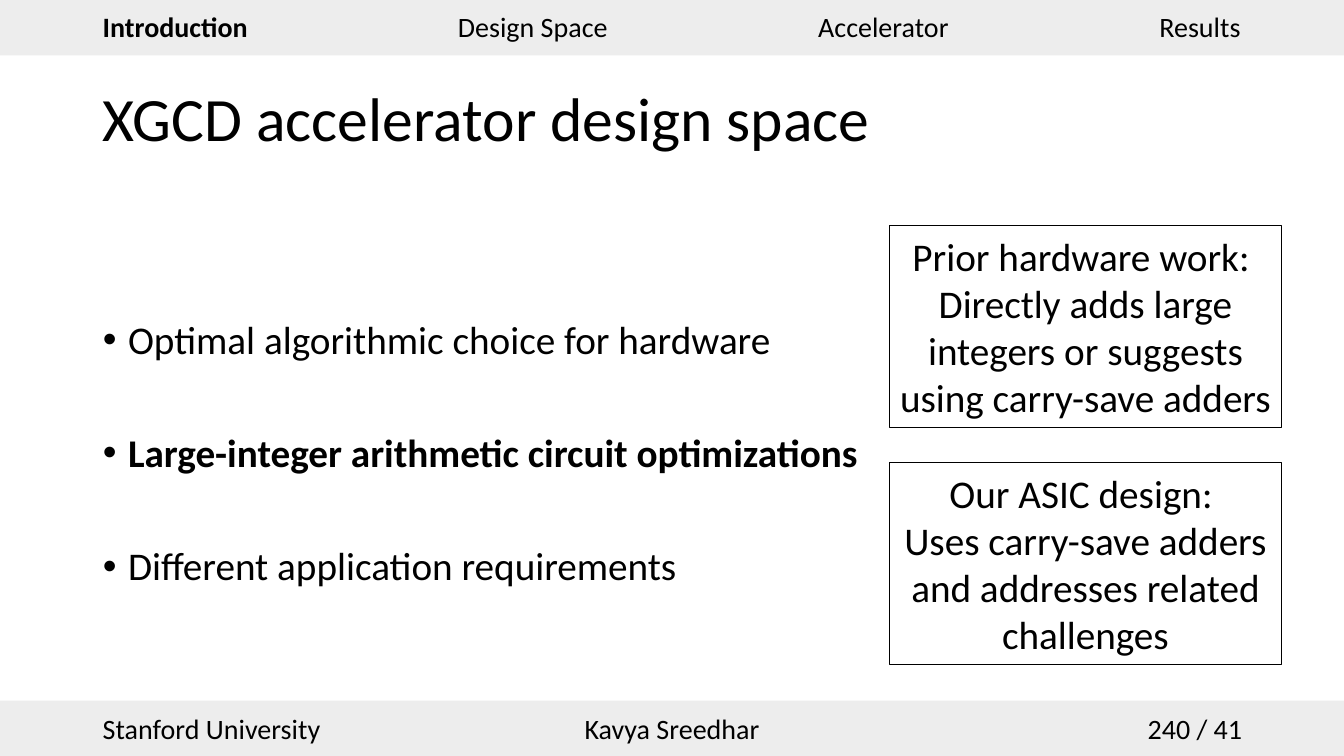
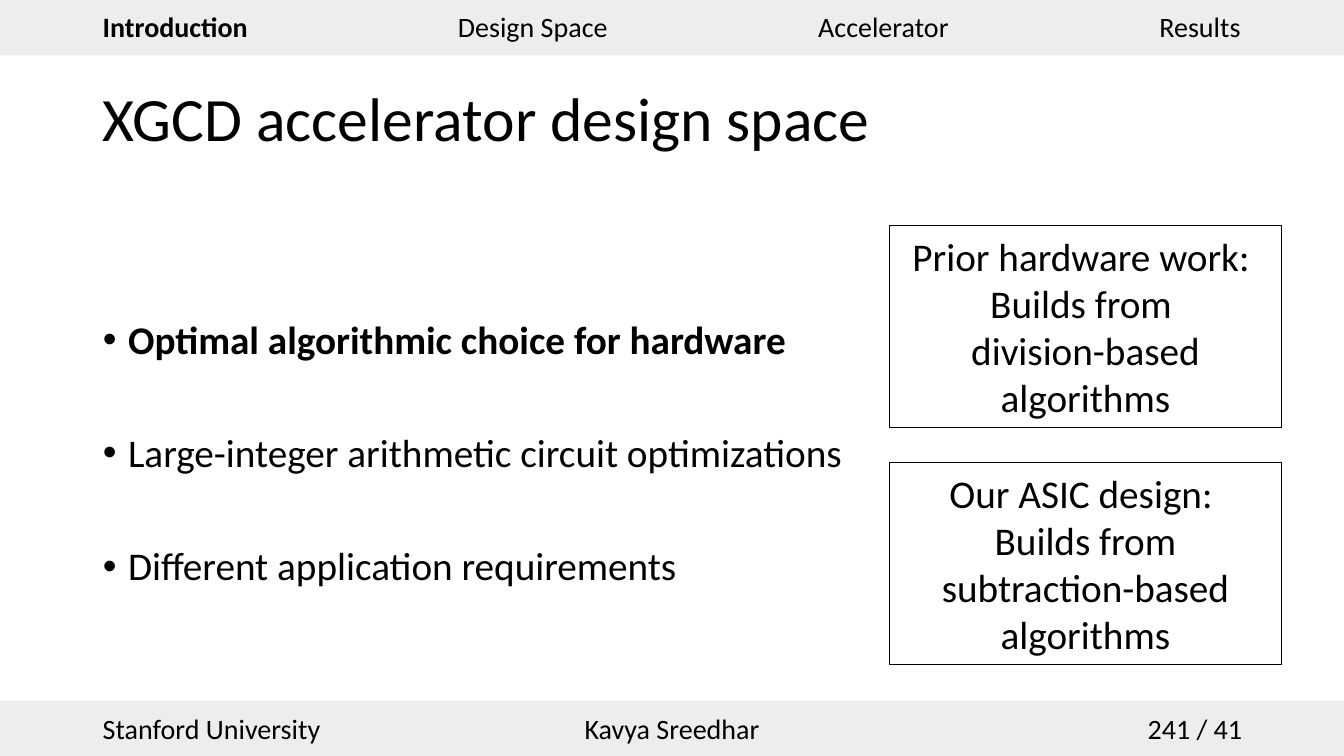
from dataclasses import dataclass

from lxml import etree
from pptx import Presentation
from pptx.dml.color import RGBColor
from pptx.enum.shapes import MSO_SHAPE as Preset
from pptx.enum.text import MSO_ANCHOR as Anchor, MSO_AUTO_SIZE as AutoSize, PP_ALIGN as Align
from pptx.oxml.ns import qn
from pptx.util import Inches, Pt


@dataclass(frozen=True)
class Theme:
    font: str = "Calibri"
    ink: RGBColor = RGBColor(0x00, 0x00, 0x00)
    paper: RGBColor = RGBColor(0xFF, 0xFF, 0xFF)
    band: RGBColor = RGBColor(0xED, 0xED, 0xED)
    title_size: int = 44
    body_size: int = 28
    band_size: int = 20


theme = Theme()
WIDTH, HEIGHT = 13.33, 7.5
MARGIN, CONTENT_WIDTH = 0.92, 11.5
BAND_HEIGHT = 0.55
LABEL_HEIGHT = 0.44

TITLE = "XGCD accelerator design space"
TOPICS = [
    "Optimal algorithmic choice for hardware",
    "Large-integer arithmetic circuit optimizations",
    "Different application requirements",
]
SECTIONS = [("Introduction", 1.65), ("Design Space", 1.7), ("Accelerator", 1.51), ("Results", 1.02)]
CURRENT_SECTION = "Introduction"

# Page label, index of the bold topic, paragraphs of the two callouts
PAGES = [
    ("240 / 41", 1, [
        ["Prior hardware work: ",
         "Directly adds large integers or suggests using carry-save adders"],
        ["Our ASIC design: ",
         "Uses carry-save adders and addresses related challenges"],
    ]),
    ("241 / 41", 0, [
        ["Prior hardware work: ", "Builds from ", "division-based algorithms"],
        ["Our ASIC design: ", "Builds from subtraction-based algorithms"],
    ]),
]


def write(frame, lines, size, align=Align.LEFT, bold_line=None, line_spacing=None,
          space_before=0, anchor=Anchor.TOP, wrap=True, auto_size=AutoSize.NONE):
    """Fill a text frame with one paragraph per line and return the paragraphs."""
    frame.word_wrap = wrap
    frame.auto_size = auto_size
    frame.vertical_anchor = anchor
    for index, line in enumerate(lines):
        paragraph = frame.add_paragraph() if index else frame.paragraphs[0]
        paragraph.alignment = align
        paragraph.space_before = Pt(space_before if index else 0)
        if line_spacing:
            paragraph.line_spacing = line_spacing
        run = paragraph.add_run()
        run.text = line
        run.font.name = theme.font
        run.font.size = Pt(size)
        run.font.color.rgb = theme.ink
        run.font.bold = index == bold_line
    return frame.paragraphs


def add_box(slide, left, top, width, height, fill, line=None):
    """Add a flat rectangle, outlined only when a line colour is given."""
    shape = slide.shapes.add_shape(
        Preset.RECTANGLE, Inches(left), Inches(top), Inches(width), Inches(height))
    shape.shadow.inherit = False
    shape.fill.solid()
    shape.fill.fore_color.rgb = fill
    if line is None:
        shape.line.fill.background()
    else:
        shape.line.color.rgb = line
        shape.line.width = Pt(1)
    return shape


presentation = Presentation()
presentation.slide_width = Inches(WIDTH)
presentation.slide_height = Inches(HEIGHT)

# Layout: place title and body, drop the date, footer and number placeholders
layout = presentation.slide_layouts[1]
frames = {0: (0.48, 1.45), 1: (2, 4.76)}
for placeholder in list(layout.placeholders):
    index = placeholder.placeholder_format.idx
    if index in frames:
        top, height = frames[index]
        placeholder.left, placeholder.width = Inches(MARGIN), Inches(CONTENT_WIDTH)
        placeholder.top, placeholder.height = Inches(top), Inches(height)
    else:
        layout.shapes.element.remove(placeholder.element)

slides = [presentation.slides.add_slide(layout) for page in PAGES]

# Shared bands, drawn on the first slide and then moved to the layout
first_slide = slides[0]
shared = [add_box(first_slide, 0, top, WIDTH, BAND_HEIGHT, theme.band)
          for top in (0, HEIGHT - BAND_HEIGHT)]

labels = [
    ("Stanford University", MARGIN, 7.01, 2.38, Align.LEFT),
    ("Kavya Sreedhar", 5.69, 7.01, 1.95, Align.CENTER),
]
gap = (CONTENT_WIDTH - sum(width for name, width in SECTIONS)) / (len(SECTIONS) - 1)
left = MARGIN
for name, width in SECTIONS:
    labels.append((name, left, 0.05, width, Align.LEFT))
    left += width + gap

for text, left, top, width, align in labels:
    label = first_slide.shapes.add_textbox(
        Inches(left), Inches(top), Inches(width), Inches(LABEL_HEIGHT))
    write(label.text_frame, [text], theme.band_size, align=align, wrap=False,
          bold_line=0 if text == CURRENT_SECTION else None,
          auto_size=AutoSize.SHAPE_TO_FIT_TEXT)
    shared.append(label)

for shape in shared:
    layout.shapes.element.append(shape.element)

for slide, (page_label, bold_topic, callouts) in zip(slides, PAGES):
    # Title
    write(slide.shapes.title.text_frame, [TITLE], theme.title_size,
          line_spacing=0.9, anchor=Anchor.MIDDLE)

    # Topics, with the one under discussion in bold
    body = slide.placeholders[1].text_frame
    body.margin_top = Inches(1.18)
    for paragraph in write(body, TOPICS, theme.body_size, bold_line=bold_topic,
                           line_spacing=0.9, space_before=50.5):
        properties = paragraph._p.get_or_add_pPr()
        properties.set("marL", str(Inches(0.25)))
        properties.set("indent", str(Inches(-0.25)))

    # Callouts comparing prior work with this design
    for row, lines in enumerate(callouts):
        callout = add_box(slide, 8.82, 2.24 + row * 2.35, 3.89, 2, theme.paper, theme.ink)
        color = callout.element.spPr.find(qn("a:solidFill")).find(qn("a:srgbClr"))
        etree.SubElement(color, qn("a:alpha"), val="20000")
        write(callout.text_frame, lines, theme.body_size,
              align=Align.CENTER, anchor=Anchor.MIDDLE)

    # Page label
    number = slide.shapes.add_textbox(Inches(9.42), Inches(7.03), Inches(3), Inches(0.4))
    write(number.text_frame, [page_label], theme.band_size,
          align=Align.RIGHT, anchor=Anchor.MIDDLE)

presentation.save("out.pptx")
